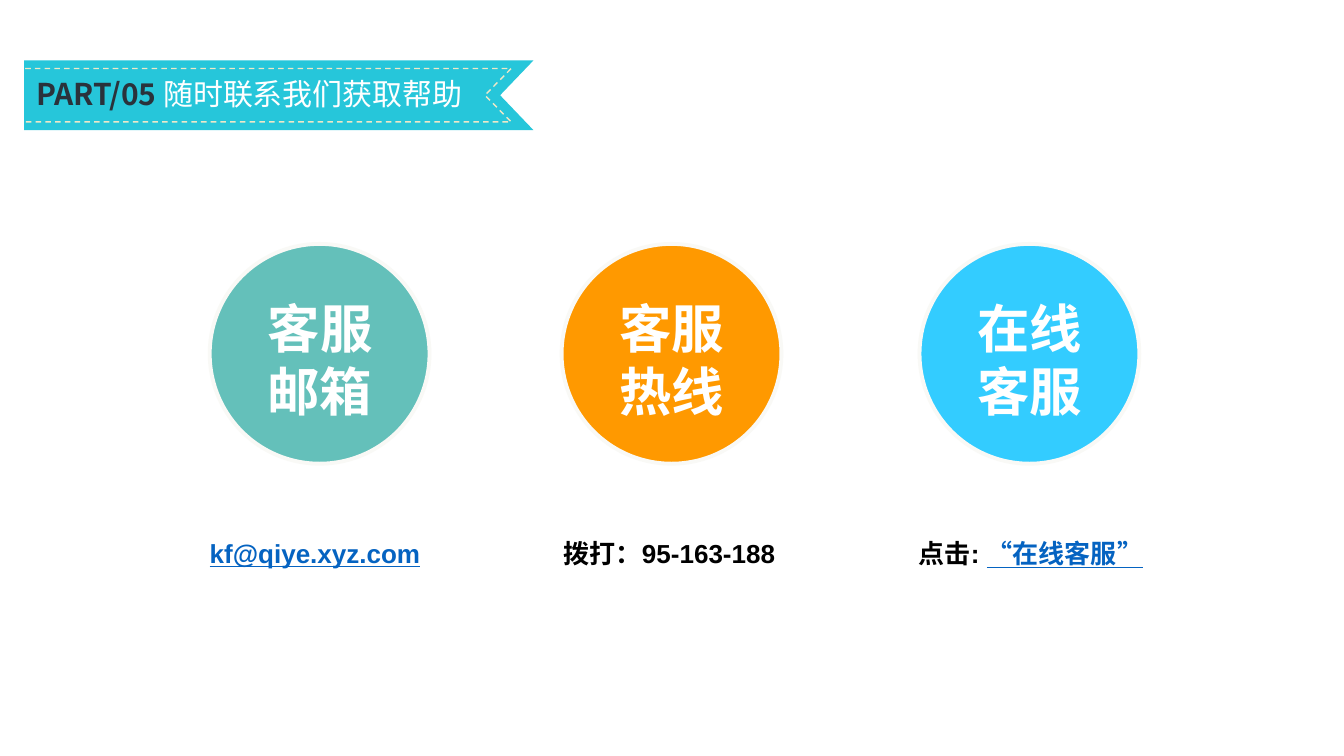
from lxml import etree
from pptx import Presentation
from pptx.dml.color import RGBColor
from pptx.enum.dml import MSO_LINE
from pptx.enum.shapes import MSO_SHAPE
from pptx.enum.text import PP_ALIGN
from pptx.oxml.ns import qn
from pptx.util import Inches, Pt

OVAL = MSO_SHAPE.OVAL
DASH = MSO_LINE.DASH
LEFT, CENTER = PP_ALIGN.LEFT, PP_ALIGN.CENTER
LATIN, CJK = "Arial", "Noto Sans CJK SC"
WHITE, BLACK, LINK = "FFFFFF", "000000", "0563C1"


def rgb(value):
    return RGBColor.from_string(value)


def add_text(slide, box, runs, size, align=CENTER, wrap=True, spacing=1.0):
    """Each run is (text, color, font, bold, underline)."""
    tf = slide.shapes.add_textbox(*map(Inches, box)).text_frame
    tf.word_wrap = wrap
    p = tf.paragraphs[0]
    p.alignment = align
    p.line_spacing = spacing
    for text, color, font, bold, underline in runs:
        r = p.add_run()
        r.text = text
        r.font.size = Pt(size)
        r.font.name = font
        r.font.bold = bold
        r.font.underline = underline
        r.font.color.rgb = rgb(color)
        etree.SubElement(r.font._element, qn("a:ea"), typeface=CJK)


def add_outline(slide, points, close):
    start, *rest = [(Inches(x), Inches(y)) for x, y in points]
    builder = slide.shapes.build_freeform(*start)
    builder.add_line_segments(rest, close=close)
    sp = builder.convert_to_shape()
    sp.shadow.inherit = False
    return sp


def add_ribbon(slide, left, top, width, height):
    right, bottom, middle = left + width, top + height, top + height / 2
    # Band with a notched end
    band = add_outline(slide, [(right, bottom), (left, bottom), (left, top),
                               (right, top), (right - 0.33, middle)], True)
    band.fill.solid()
    band.fill.fore_color.rgb = rgb("26C6DA")
    band.line.fill.background()
    # Dashed stitching
    inset, end = 0.08, right - 0.22
    stitch = add_outline(slide, [(left + 0.01, top + inset), (end, top + inset),
                                 (end - 0.26, middle), (end, bottom - inset),
                                 (left + 0.01, bottom - inset)], False)
    stitch.fill.background()
    stitch.line.color.rgb = rgb("EDE8C8")
    stitch.line.width = Pt(1)
    stitch.line.dash_style = DASH
    # Title
    add_text(slide, (left + 0.02, top + 0.1, width - 0.46, 0.46),
             [("PART/05 ", "2A323B", CJK, True, False),
              ("随时联系我们获取帮助", WHITE, LATIN, False, False)],
             21.4, align=LEFT, wrap=False)


def add_channel(slide, left, top, size, color, label, contact, shift, width):
    # Circle
    sp = slide.shapes.add_shape(OVAL, *map(Inches, (left, top, size, size)))
    sp.shadow.inherit = False
    sp.fill.solid()
    sp.fill.fore_color.rgb = rgb(color)
    sp.line.color.rgb = rgb("F9F9F6")
    sp.line.width = Pt(2.75)
    # Label, two characters per line
    add_text(slide, (left + 0.43, top + 0.47, 1.33, 1.36),
             [(label, WHITE, CJK, True, False)], 37.4)
    # Contact details
    add_text(slide, (left + shift, top + 2.8, width, 0.82),
             [(text, LINK if link else BLACK, LATIN, True, link)
              for text, link in contact], 18.6, spacing=1.2)


CHANNELS = [
    (2.08, "64C0BA", "客服邮箱", [("kf@qiye.xyz.com", True)], -0.12, 2.33),
    (5.57, "FF9900", "客服热线", [("拨打：95-163-188", False)], -0.09, 2.32),
    (9.12, "33CCFF", "在线客服",
     [("点击: ", False), ("“在线客服”", True)], -0.12, 2.45),
]


def main():
    prs = Presentation()
    prs.slide_width, prs.slide_height = Inches(13.33), Inches(7.5)
    slide = prs.slides.add_slide(prs.slide_layouts[6])
    add_ribbon(slide, 0.24, 0.6, 5.05, 0.69)
    for left, color, label, contact, shift, width in CHANNELS:
        add_channel(slide, left, 2.42, 2.18, color, label, contact, shift, width)
    prs.save("out.pptx")


if __name__ == "__main__":
    main()
